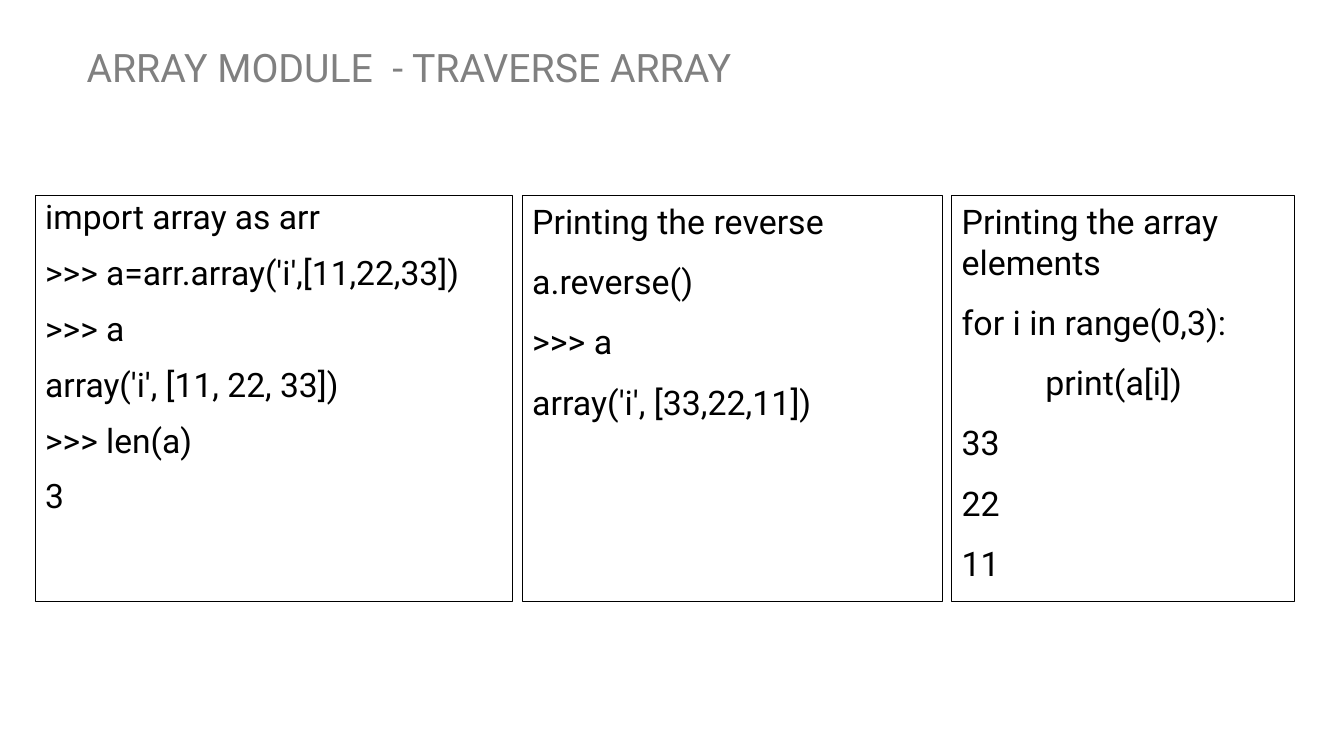
from lxml import etree
from pptx import Presentation
from pptx.dml.color import RGBColor
from pptx.enum.shapes import MSO_SHAPE
from pptx.enum.text import MSO_ANCHOR, PP_ALIGN
from pptx.oxml.ns import qn
from pptx.util import Inches, Pt

RECT = MSO_SHAPE.RECTANGLE
TOP = MSO_ANCHOR.TOP
LEFT = PP_ALIGN.LEFT

COLORS = {"title": "808080", "text": "000000", "border": "000000"}
FONT = "Roboto"
TAB_STOP = 0.83
PANEL_TOP, PANEL_HEIGHT = 1.94, 4.03

# Each panel: left, width, text size, line spacing, lines
PANELS = [
    (0.35, 4.73, 24, 0.9, [
        "import array as arr",
        ">>> a=arr.array('i',[11,22,33])",
        ">>> a",
        "array('i', [11, 22, 33])",
        ">>> len(a)",
        "3",
    ]),
    (5.18, 4.17, 24.2, 1.0, [
        "Printing the reverse",
        "a.reverse()",
        ">>> a",
        "array('i', [33,22,11])",
    ]),
    (9.44, 3.4, 24.2, 1.0, [
        "Printing the array elements",
        "for i in range(0,3):",
        "\tprint(a[i])",
        "33",
        "22",
        "11",
    ]),
]


def add_tab_stop(p, pos):
    tabs = etree.SubElement(p._p.get_or_add_pPr(), qn("a:tabLst"))
    etree.SubElement(tabs, qn("a:tab"), pos=str(Inches(pos)), algn="l")


def write(tf, lines, size, color, spacing=1.0, after=0):
    """Fill a text frame with one paragraph per line."""
    tf.word_wrap = True
    tf.vertical_anchor = TOP
    tf.margin_left = tf.margin_right = Inches(0.1)
    tf.margin_top = tf.margin_bottom = Inches(0.05)
    for i, line in enumerate(lines):
        p = tf.add_paragraph() if i else tf.paragraphs[0]
        if line.startswith("\t"):
            add_tab_stop(p, TAB_STOP)
        p.alignment = LEFT
        p.line_spacing = spacing
        p.space_after = Pt(after)
        r = p.add_run()
        r.text = line
        r.font.name = FONT
        r.font.size = Pt(size)
        r.font.color.rgb = RGBColor.from_string(COLORS[color])


def add_title(s, box, text):
    tb = s.shapes.add_textbox(*map(Inches, box))
    write(tb.text_frame, [text], 28, "title", spacing=0.9)


def add_panel(s, box, lines, size, spacing):
    sp = s.shapes.add_shape(RECT, *map(Inches, box))
    sp.shadow.inherit = False
    sp.fill.background()
    sp.line.color.rgb = RGBColor.from_string(COLORS["border"])
    sp.line.width = Pt(0.75)
    write(sp.text_frame, lines, size, "text", spacing=spacing, after=14)


def main():
    prs = Presentation()
    prs.slide_width, prs.slide_height = Inches(13.33), Inches(7.5)
    s = prs.slides.add_slide(prs.slide_layouts[6])

    # Heading
    add_title(s, (0.76, 0.43, 7.92, 0.92), "ARRAY MODULE  - TRAVERSE ARRAY")

    # Three code panels side by side
    for left, width, size, spacing, lines in PANELS:
        box = (left, PANEL_TOP, width, PANEL_HEIGHT)
        add_panel(s, box, lines, size, spacing)

    prs.save("out.pptx")


if __name__ == "__main__":
    main()
